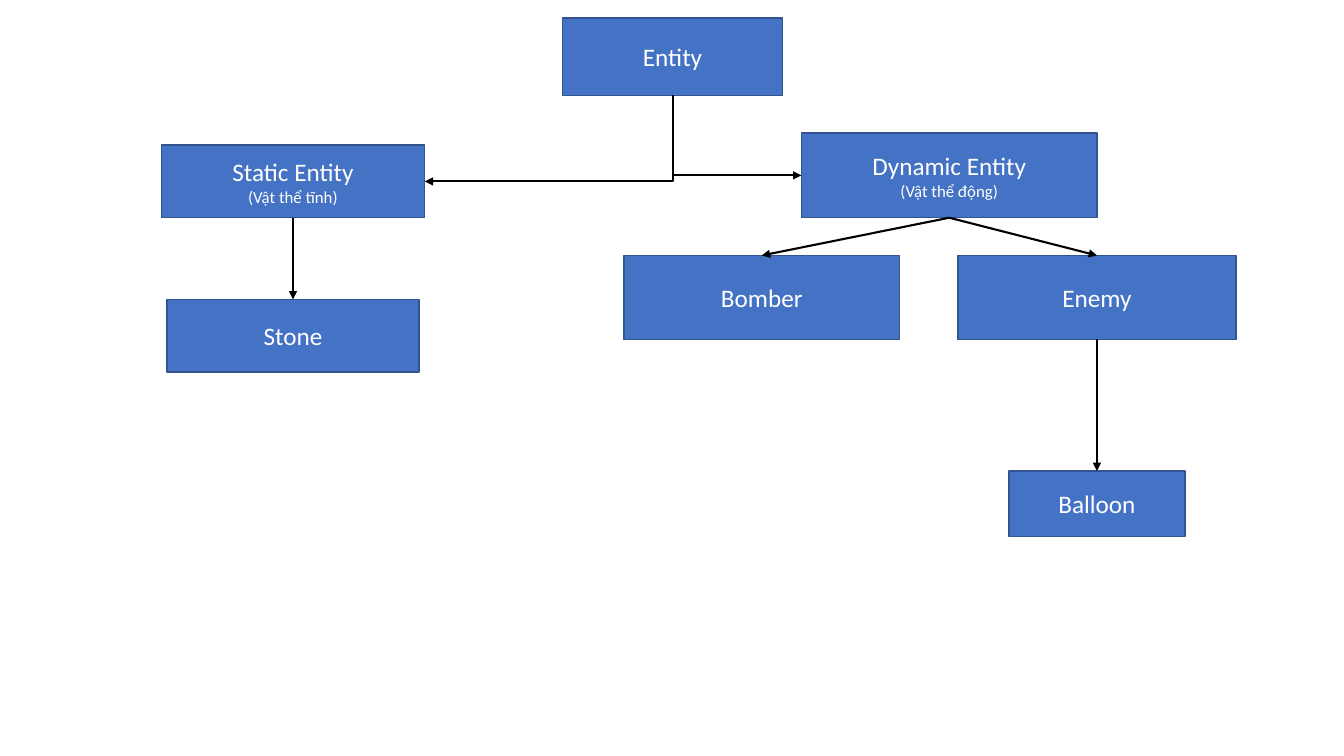
from lxml import etree
from pptx import Presentation
from pptx.dml.color import RGBColor
from pptx.enum.shapes import MSO_CONNECTOR, MSO_SHAPE
from pptx.enum.text import MSO_ANCHOR, PP_ALIGN
from pptx.oxml.ns import qn
from pptx.util import Inches, Pt

RECT = MSO_SHAPE.RECTANGLE
STRAIGHT, ELBOW = MSO_CONNECTOR.STRAIGHT, MSO_CONNECTOR.ELBOW
MIDDLE, CENTER = MSO_ANCHOR.MIDDLE, PP_ALIGN.CENTER
WIDE, HIGH = Inches(13.33), Inches(7.5)
FONT = "Calibri"
BLUE, EDGE, WHITE, BLACK = "4472C4", "325491", "FFFFFF", "000000"

# Connection sites of a rectangle
TOP, LEFT, BOTTOM, RIGHT = range(4)

# Label lines, then centre, top, width and height in percent of the slide
BOXES = [
    (("Entity",), 50.04, 2.4, 16.4, 10.2),
    (("Dynamic Entity", "(Vật thể động)"), 70.63, 17.6, 22, 11.2),
    (("Bomber",), 56.68, 33.8, 20.5, 11.1),
    (("Static Entity", "(Vật thể tĩnh)"), 21.8, 19.2, 19.6, 9.6),
    (("Stone",), 21.8, 39.6, 18.75, 9.6),
    (("Enemy",), 81.62, 33.8, 20.7, 11.1),
    (("Balloon",), 81.62, 62.3, 13.1, 8.7),
]
BENDS = [("Entity", "Dynamic Entity"), ("Entity", "Static Entity")]
DROPS = [("Dynamic Entity", "Bomber"), ("Static Entity", "Stone"),
         ("Dynamic Entity", "Enemy"), ("Enemy", "Balloon")]


def color(code):
    return RGBColor.from_string(code)


def add_box(slide, lines, mid, top, width, height):
    box = slide.shapes.add_shape(
        RECT, round(WIDE * (mid - width / 2) / 100), round(HIGH * top / 100),
        round(WIDE * width / 100), round(HIGH * height / 100))
    box.shadow.inherit = False
    box.fill.solid()
    box.fill.fore_color.rgb = color(BLUE)
    box.line.color.rgb = color(EDGE)
    box.line.width = Pt(1)
    frame = box.text_frame
    frame.text = "\n".join(lines)
    frame.word_wrap = True
    frame.vertical_anchor = MIDDLE
    # The title line is larger than the translation below it
    for para, size in zip(frame.paragraphs, (18, 12)):
        para.alignment = CENTER
        font = para.runs[0].font
        font.name, font.size = FONT, Pt(size)
        font.color.rgb = color(WHITE)
    return box


def add_arrow(slide, kind, start, end, site):
    arrow = slide.shapes.add_connector(kind, 0, 0, 0, 0)
    arrow.begin_connect(start, BOTTOM)
    arrow.end_connect(end, site)
    arrow.line.color.rgb = color(BLACK)
    arrow.line.width = Pt(1.5)
    etree.SubElement(arrow.line._get_or_add_ln(), qn("a:tailEnd"), type="triangle")
    etree.SubElement(arrow._element.spPr, qn("a:effectLst"))
    return arrow


def add_bend(slide, start, end):
    right = end.left > start.left
    arrow = add_arrow(slide, ELBOW, start, end, LEFT if right else RIGHT)
    # One corner: down first, then sideways, as a turned preset
    across, down = arrow.width, arrow.height
    shift = (across - down) // 2
    arrow.left, arrow.top = arrow.left + shift, arrow.top - shift
    arrow.width, arrow.height = down, across
    props = arrow._element.spPr
    props.find(qn("a:prstGeom")).set("prst", "bentConnector2")
    frame = props.find(qn("a:xfrm"))
    frame.set("rot", str((270 if right else 90) * 60000))
    frame.set("flipH", "1" if right else "0")


def main():
    deck = Presentation()
    deck.slide_width, deck.slide_height = WIDE, HIGH
    slide = deck.slides.add_slide(deck.slide_layouts[6])

    # Classes
    boxes = {lines[0]: add_box(slide, lines, *place) for lines, *place in BOXES}

    # Inheritance arrows
    for start, end in BENDS:
        add_bend(slide, boxes[start], boxes[end])
    for start, end in DROPS:
        add_arrow(slide, STRAIGHT, boxes[start], boxes[end], TOP)

    deck.save("out.pptx")


main()
